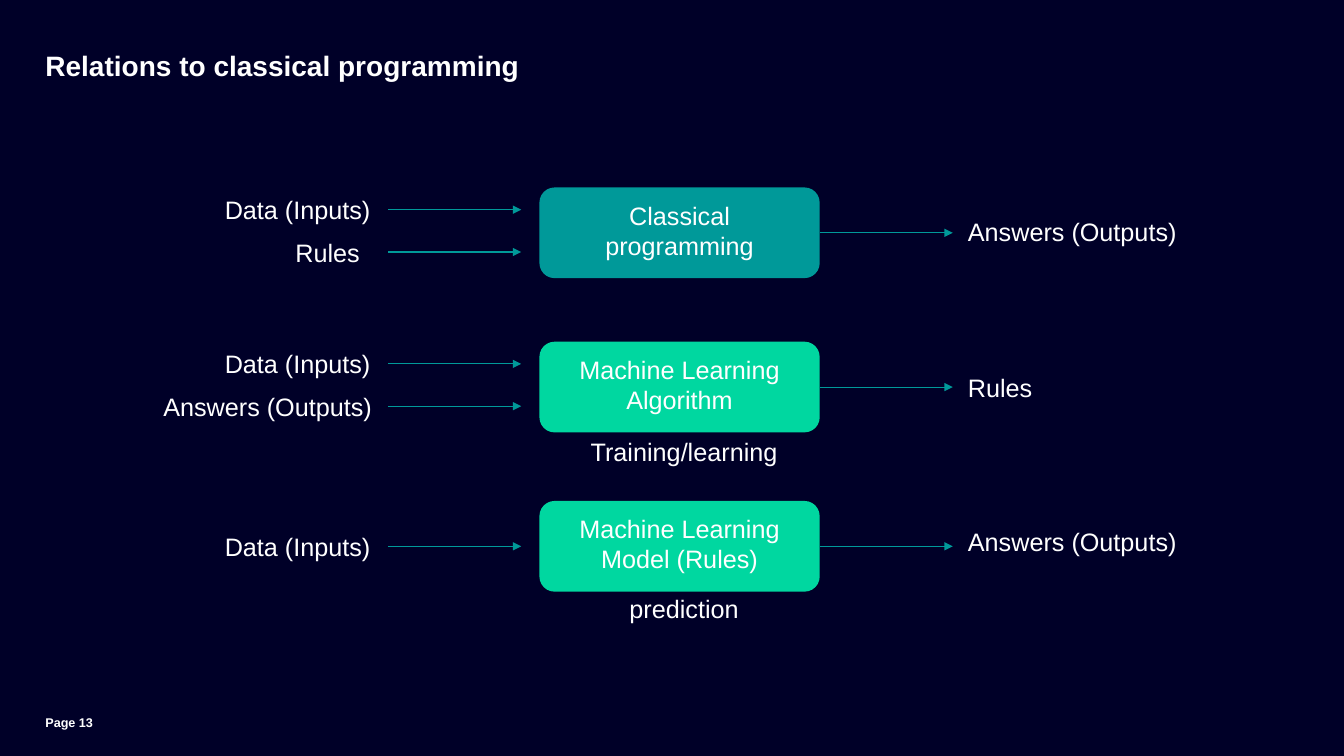
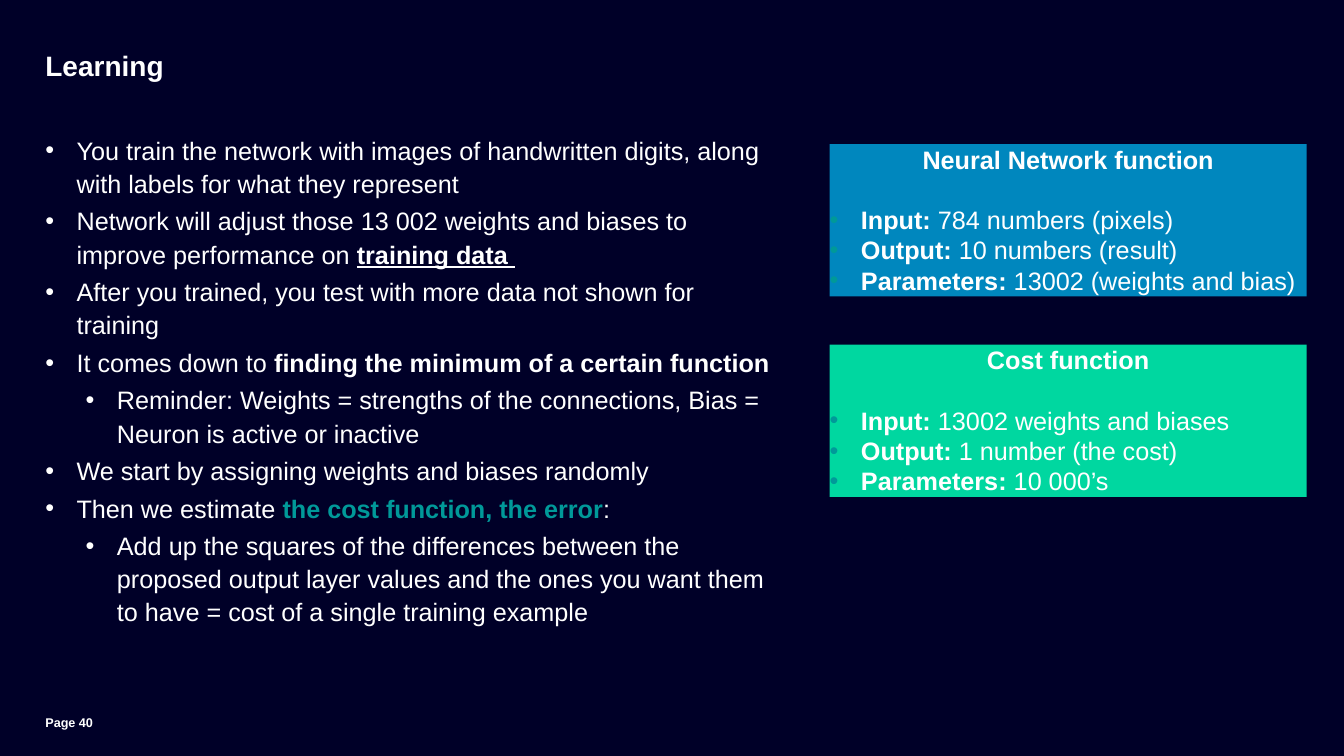
from lxml import etree
from pptx import Presentation
from pptx.dml.color import RGBColor
from pptx.enum import shapes, text
from pptx.oxml import ns
from pptx.util import Inches, Pt

FONT = "Arial"
BODY_SIZE = 18
COLORS = {
    "background": "000028",
    "white": "FFFFFF",
    "petrol": "009999",
    "green": "00D7A0",
    "blue": "0087BE",
}
BOX_LEFT, BOX_WIDTH, BOX_HEIGHT = 5.35, 2.78, 0.9
ARROW_LEFT, ARROW_LENGTH = 3.85, 1.32
OUTPUT_LEFT = 9.6
LABEL_HEIGHT = 0.3
HANGING = 0.31

FLOWS = [
    {
        "top": 1.86, "fill": "petrol", "name": ["Classical programming"],
        "inputs": [("Data (Inputs)", 2.23, 0.22), ("Rules", 2.93, 0.64)],
        "output": ("Answers (Outputs)", 2.15),
    },
    {
        "top": 3.39, "fill": "green", "name": ["Machine Learning", "Algorithm"],
        "inputs": [("Data (Inputs)", 2.23, 0.22), ("Answers (Outputs)", 1.62, 0.64)],
        "output": ("Rules", 3.69),
        "caption": ("Training/learning", 4.33),
    },
    {
        "top": 4.97, "fill": "green", "name": ["Machine Learning", "Model (Rules)"],
        "inputs": [("Data (Inputs)", 2.23, 0.45)],
        "output": ("Answers (Outputs)", 5.22),
        "caption": ("prediction", 5.89),
    },
]

LEARNING_POINTS = [
    (0, [("You train the network with images of handwritten digits, along with labels "
          "for what they represent", {})]),
    (0, [("Network will adjust those 13 002 weights and biases to improve performance on ", {}),
         ("training data ", {"bold": True, "underline": True})]),
    (0, [("After you trained, you test with more data not shown for training", {})]),
    (0, [("It comes down to ", {}),
         ("finding the minimum of a certain function", {"bold": True})]),
    (1, [("Reminder: Weights = strengths of the connections, Bias = Neuron is active "
          "or inactive", {})]),
    (0, [("We start by assigning weights and biases randomly", {})]),
    (0, [("Then we estimate ", {}),
         ("the cost function, the error", {"bold": True, "color": "petrol"}),
         (":", {})]),
    (1, [("Add up the squares of the differences between the proposed output layer values "
          "and the ones you want them to have = cost of a single training example", {})]),
]

PANELS = [
    (1.43, "blue", "Neural Network function",
     [("Input: ", "784 numbers (pixels)"),
      ("Output: ", "10 numbers (result)"),
      ("Parameters: ", "13002 (weights and bias)")]),
    (3.42, "green", "Cost function",
     [("Input: ", "13002 weights and biases"),
      ("Output: ", "1 number (the cost)"),
      ("Parameters: ", "10 000’s")]),
]


def rgb(name):
    """Return the named colour."""
    return RGBColor.from_string(COLORS[name])


def style_run(run, size=BODY_SIZE, color="white", bold=False, underline=False):
    """Apply the deck's font to a run."""
    run.font.name = FONT
    run.font.size = Pt(size)
    run.font.color.rgb = rgb(color)
    run.font.bold = bold
    run.font.underline = underline


def style_paragraph(paragraph, alignment=text.PP_ALIGN.LEFT, **style):
    """Align a paragraph and style all its runs."""
    paragraph.alignment = alignment
    for run in paragraph.runs:
        style_run(run, **style)


def add_runs(paragraph, parts):
    """Append styled runs to a paragraph."""
    for wording, style in parts:
        run = paragraph.add_run()
        run.text = wording
        style_run(run, **style)


def set_bullet(paragraph, color, indent=HANGING):
    """Give a paragraph a coloured bullet with a hanging indent."""
    properties = paragraph._p.get_or_add_pPr()
    properties.set("marL", str(Inches(indent)))
    properties.set("indent", str(-Inches(HANGING)))
    bullet_color = etree.SubElement(properties, ns.qn("a:buClr"))
    etree.SubElement(bullet_color, ns.qn("a:srgbClr"), val=COLORS[color])
    etree.SubElement(properties, ns.qn("a:buFont"), typeface=FONT)
    etree.SubElement(properties, ns.qn("a:buChar"), char="•")


def format_frame(frame, margins=(0, 0, 0, 0), anchor=text.MSO_ANCHOR.TOP):
    """Set wrapping, anchor and margins of a text frame."""
    frame.word_wrap = True
    frame.auto_size = text.MSO_AUTO_SIZE.NONE
    frame.vertical_anchor = anchor
    frame.margin_left, frame.margin_top, frame.margin_right, frame.margin_bottom = map(
        Inches, margins)


def add_text(slide, left, top, width, height, wording="",
             alignment=text.PP_ALIGN.LEFT, frame_format=None, **style):
    """Add a text box and return its frame."""
    frame = slide.shapes.add_textbox(*map(Inches, (left, top, width, height))).text_frame
    format_frame(frame, **(frame_format or {}))
    frame.text = wording
    style_paragraph(frame.paragraphs[0], alignment, **style)
    return frame


def add_block(slide, preset, left, top, width, height, fill, margins=(0, 0, 0, 0)):
    """Add a filled shape without outline or shadow."""
    block = slide.shapes.add_shape(preset, *map(Inches, (left, top, width, height)))
    block.shadow.inherit = False
    block.fill.solid()
    block.fill.fore_color.rgb = rgb(fill)
    block.line.fill.background()
    format_frame(block.text_frame, margins)
    return block


def add_arrow(slide, left, y):
    """Add a horizontal arrow pointing right."""
    arrow = slide.shapes.add_connector(
        shapes.MSO_CONNECTOR.STRAIGHT,
        *map(Inches, (left, y, left + ARROW_LENGTH, y)))
    arrow.line.color.rgb = rgb("petrol")
    arrow.line.width = Pt(0.75)
    etree.SubElement(arrow.line._get_or_add_ln(), ns.qn("a:tailEnd"), type="triangle")
    etree.SubElement(arrow._element.spPr, ns.qn("a:effectLst"))
    return arrow


def add_flow(slide, flow):
    """Draw one row of inputs, process box and output."""
    top = flow["top"]
    box = add_block(slide, shapes.MSO_SHAPE.ROUNDED_RECTANGLE, BOX_LEFT, top,
                    BOX_WIDTH, BOX_HEIGHT, flow["fill"], (0.12, 0.08, 0.12, 0.08))
    box.text_frame.text = "\n".join(flow["name"])
    for paragraph in box.text_frame.paragraphs:
        style_paragraph(paragraph, text.PP_ALIGN.CENTER)

    for wording, left, offset in flow["inputs"]:
        y = top + offset
        add_text(slide, left, y - LABEL_HEIGHT / 2, 2.2, LABEL_HEIGHT, wording)
        add_arrow(slide, ARROW_LEFT, y)

    output_arrow = add_arrow(slide, BOX_LEFT + BOX_WIDTH, top + BOX_HEIGHT / 2)
    output_arrow.begin_connect(box, 3)
    wording, label_top = flow["output"]
    add_text(slide, OUTPUT_LEFT, label_top, 2.69, LABEL_HEIGHT, wording)

    if "caption" in flow:
        wording, label_top = flow["caption"]
        add_text(slide, 5.77, label_top, 2.03, LABEL_HEIGHT, wording, text.PP_ALIGN.CENTER)


def add_points(slide, points):
    """Add the two-level bulleted list."""
    frame = add_text(slide, 0.45, 1.31, 7.19, 5.2)
    for index, (level, parts) in enumerate(points):
        paragraph = frame.add_paragraph() if index else frame.paragraphs[0]
        paragraph.level = level
        set_bullet(paragraph, "white", HANGING + 0.4 * level)
        paragraph.line_spacing = 1.1
        paragraph.space_after = Pt(3)
        add_runs(paragraph, parts)


def add_panel(slide, top, fill, heading, facts):
    """Add a panel with a centred heading and bulleted facts."""
    panel = add_block(slide, shapes.MSO_SHAPE.RECTANGLE, 8.23, top, 4.73, 1.51, fill)
    frame = panel.text_frame
    frame.text = heading
    style_paragraph(frame.paragraphs[0], text.PP_ALIGN.CENTER, bold=True)
    frame.paragraphs[0].space_after = Pt(21.5)
    for label, value in facts:
        paragraph = frame.add_paragraph()
        paragraph.alignment = text.PP_ALIGN.LEFT
        set_bullet(paragraph, "petrol")
        add_runs(paragraph, [(label, {"bold": True}), (value, {})])


def add_slide(presentation, heading, page):
    """Add a slide with its title and page number."""
    slide = presentation.slides.add_slide(presentation.slide_layouts[5])
    title = slide.shapes.title
    title.left, title.top, title.width, title.height = map(Inches, (0.45, 0.52, 10.79, 0.63))
    format_frame(title.text_frame, (0, 0, 0.35, 0.02))
    title.text_frame.text = heading
    paragraph = title.text_frame.paragraphs[0]
    paragraph.line_spacing = 0.9
    style_paragraph(paragraph, size=20, bold=True)
    add_text(slide, 0.45, 6.9, 0.71, 0.6, f"Page {page}", size=9, bold=True,
             frame_format={"margins": (0, 0, 0, 0.07), "anchor": text.MSO_ANCHOR.MIDDLE})
    return slide


def main():
    """Build and save the presentation."""
    presentation = Presentation()
    presentation.slide_width, presentation.slide_height = Inches(13.33), Inches(7.5)
    background = presentation.slide_master.background.fill
    background.solid()
    background.fore_color.rgb = rgb("background")

    relations = add_slide(presentation, "Relations to classical programming", 13)
    for flow in FLOWS:
        add_flow(relations, flow)

    learning = add_slide(presentation, "Learning", 40)
    add_points(learning, LEARNING_POINTS)
    for panel in PANELS:
        add_panel(learning, *panel)

    presentation.save("out.pptx")


if __name__ == "__main__":
    main()
